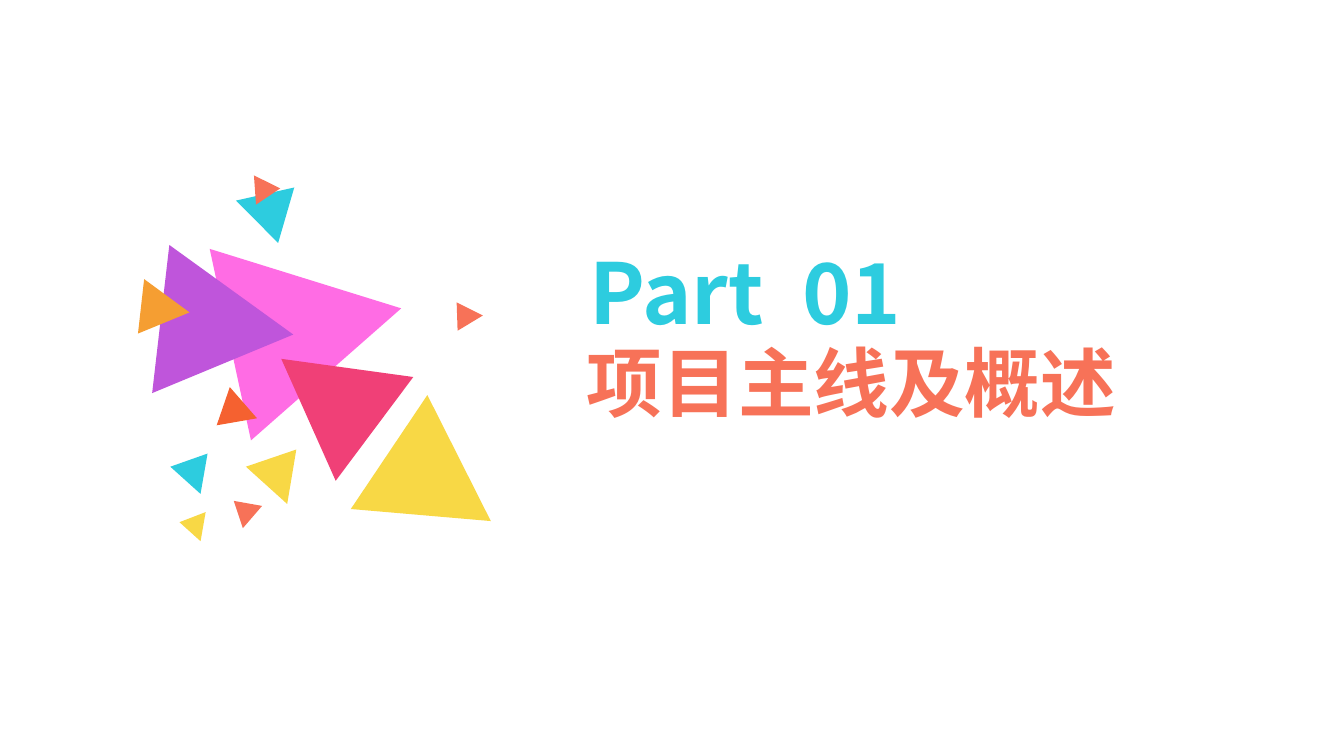
import pptx
import pptx.dml.color
import pptx.enum.text
import pptx.oxml.ns
import pptx.util
from lxml import etree

Pt = pptx.util.Pt
FONT = "Noto Sans CJK SC"
CYAN, CORAL, YELLOW = "2DCCDF", "F77258", "F8D845"

TRIANGLES = [
    (CYAN, [(112.2, 9.9), (100.7, 49.5), (70.5, 19.3)]),
    ("FF6CE4", [(81.3, 190.6), (51.8, 53.8), (188.6, 96.3)]),
    ("BF55DB", [(10.7, 156.8), (23, 51), (111.5, 115)]),
    ("F59E32", [(0.6, 114.3), (5, 75.4), (37.4, 99.2)]),
    ("F56130", [(56.8, 179.8), (66.2, 152.5), (85.6, 174.8)]),
    (CYAN, [(23.7, 209.4), (50.3, 200), (45.3, 228.8)]),
    (YELLOW, [(30.2, 249), (48.9, 241.8), (45.3, 262.6)]),
    (CORAL, [(75.5, 253.3), (69, 233.8), (89.2, 237.4)]),
    (YELLOW, [(77.7, 209.4), (113.7, 197.1), (107.2, 236)]),
    (YELLOW, [(152.6, 239.6), (207.3, 158.2), (252.6, 248.2)]),
    ("F04077", [(197.2, 145.3), (141.8, 219.4), (102.9, 132.3)]),
    (CORAL, [(228.9, 112.2), (228.2, 92), (246.9, 101.4)]),
    (CORAL, [(84.9, 22.2), (83.4, 1.3), (102.2, 10.6)]),
]


def color(hex_value):
    return pptx.dml.color.RGBColor.from_string(hex_value)


def draw_triangles(slide, left, top):
    for fill, corners in TRIANGLES:
        points = [(Pt(left + x), Pt(top + y)) for x, y in corners]
        outline = slide.shapes.build_freeform(*points[0])
        outline.add_line_segments(points[1:], close=True)
        triangle = outline.convert_to_shape()
        triangle.shadow.inherit = False
        triangle.fill.solid()
        triangle.fill.fore_color.rgb = color(fill)
        triangle.line.fill.background()


def write_heading(placeholder, text, size, fill, left, top, width, height):
    placeholder.left, placeholder.top = Pt(left), Pt(top)
    placeholder.width, placeholder.height = Pt(width), Pt(height)
    frame = placeholder.text_frame
    frame.text = text
    frame.word_wrap = True
    frame.auto_size = pptx.enum.text.MSO_AUTO_SIZE.NONE
    frame.vertical_anchor = pptx.enum.text.MSO_ANCHOR.TOP
    paragraph = frame.paragraphs[0]
    paragraph.alignment = pptx.enum.text.PP_ALIGN.LEFT
    paragraph.line_spacing = 0.9
    paragraph.space_before = Pt(0)
    font = paragraph.runs[0].font
    font.name, font.size, font.bold = FONT, Pt(size), True
    font.color.rgb = color(fill)
    properties = paragraph.runs[0].font._element
    etree.SubElement(properties, pptx.oxml.ns.qn("a:ea"), typeface=FONT)


def write_headings(slide, left, top):
    part_number = slide.placeholders[1]
    write_heading(part_number, "Part  01", 60, CYAN, left + 2, top, 324, 80)
    write_heading(slide.shapes.title, "项目主线及概述", 54, CORAL,
                  left, top + 67, 491, 73)


def build_section_slide(presentation):
    slide = presentation.slides.add_slide(presentation.slide_layouts[0])
    draw_triangles(slide, 98, 124)
    write_headings(slide, 412, 176.4)


def main():
    presentation = pptx.Presentation()
    presentation.slide_width, presentation.slide_height = Pt(960), Pt(540)
    build_section_slide(presentation)
    presentation.save("out.pptx")


if __name__ == "__main__":
    main()
